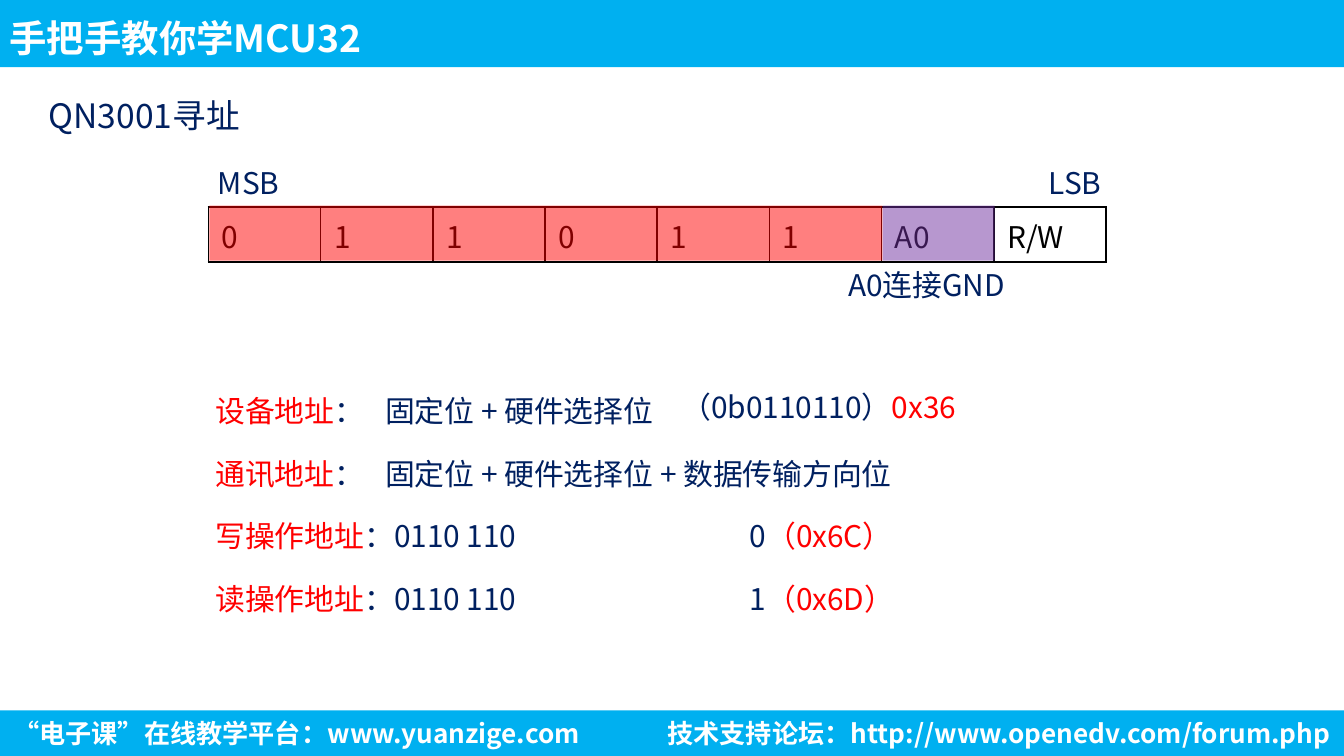
"""Builds the slide that explains the sensor's bus address."""
import pptx
import pptx.dml.color
import pptx.enum.shapes
import pptx.enum.text
import pptx.oxml
import pptx.oxml.ns
import pptx.util
import lxml.etree

Cm = pptx.util.Cm
RGB = pptx.dml.color.RGBColor
qn = pptx.oxml.ns.qn
Align = pptx.enum.text.PP_ALIGN

SKY = RGB(0x00, 0xB0, 0xF0)
NAVY = RGB(0x00, 0x20, 0x60)
RED = RGB(0xFF, 0x00, 0x00)
PLUM = RGB(0x70, 0x30, 0xA0)
WHITE = RGB(0xFF, 0xFF, 0xFF)
BLACK = RGB(0x00, 0x00, 0x00)
TIGHT = (0.13, 0.05)
SIDES = ("left", "top", "right", "bottom")


class Deck:
    def __init__(self, wide, high):
        self.file = pptx.Presentation()
        self.file.slide_width, self.file.slide_height = Cm(wide), Cm(high)
        self.slide = self.file.slides.add_slide(self.file.slide_layouts[6])
        self.style = {"name": "Noto Sans CJK SC", "size": pptx.util.Pt(16), "bold": False}

    def words(self, para, text, color, **extra):
        run = para.add_run()
        run.text = text
        for key, value in {**self.style, **extra}.items():
            setattr(run.font, key, value)
        run.font.color.rgb = color
        face = lxml.etree.SubElement(run.font._element, qn("a:ea"))
        face.set("typeface", self.style["name"])

    def block(self, left, top, wide, high, color, alpha=None):
        kind = pptx.enum.shapes.MSO_SHAPE.RECTANGLE
        shape = self.slide.shapes.add_shape(kind, Cm(left), Cm(top), Cm(wide), Cm(high))
        shape.shadow.inherit = False
        shape.fill.solid()
        shape.fill.fore_color.rgb = color
        shape.line.fill.background()
        if alpha:
            paint = shape.fill._xPr.find(".//" + qn("a:srgbClr"))
            lxml.etree.SubElement(paint, qn("a:alpha")).set("val", str(alpha * 1000))

    def text(self, left, top, wide, high, runs, pad=TIGHT, frame=None, para=None, tabs=(), **font):
        box = self.slide.shapes.add_textbox(Cm(left), Cm(top), Cm(wide), Cm(high)).text_frame
        form = {"word_wrap": True, "auto_size": pptx.enum.text.MSO_AUTO_SIZE.SHAPE_TO_FIT_TEXT}
        form.update({f"margin_{side}": Cm(pad[i % 2]) for i, side in enumerate(SIDES)})
        for key, value in {**form, **(frame or {})}.items():
            setattr(box, key, value)
        line = box.paragraphs[0]
        for key, value in (para or {}).items():
            setattr(line, key, value)
        if tabs:
            stops = lxml.etree.SubElement(line._p.get_or_add_pPr(), qn("a:tabLst"))
            for stop in tabs:
                tab = lxml.etree.SubElement(stops, qn("a:tab"))
                tab.set("pos", str(Cm(stop)))
                tab.set("algn", "l")
        for part, color in runs:
            self.words(line, part, color, **font)

    def table(self, left, top, wide, high, labels):
        size = (Cm(left), Cm(top), Cm(wide), Cm(high))
        grid = self.slide.shapes.add_table(1, len(labels), *size).table
        for col, label in enumerate(labels):
            grid.columns[col].width = Cm(wide / len(labels))
            cell = grid.cell(0, col)
            cell.vertical_anchor = pptx.enum.text.MSO_ANCHOR.MIDDLE
            cell.fill.solid()
            cell.fill.fore_color.rgb = WHITE
            self.words(cell.text_frame.paragraphs[0], label, BLACK)
            self.edge(cell)

    def edge(self, cell):
        props = cell._tc.get_or_add_tcPr()
        for place, side in enumerate("LRTB"):
            line = lxml.etree.Element(qn(f"a:ln{side}"), w=str(pptx.util.Pt(1)))
            fill = lxml.etree.SubElement(line, qn("a:solidFill"))
            lxml.etree.SubElement(fill, qn("a:srgbClr")).set("val", str(BLACK))
            props.insert(place, line)


def main():
    deck = Deck(25.4, 14.29)
    big = {"size": pptx.util.Pt(14), "bold": True}
    loose = {"line_spacing": 1.5}

    deck.block(0, 13.43, 25.4, 0.86, SKY)
    deck.block(0, 0, 25.4, 1.27, SKY)
    fixed = {"vertical_anchor": pptx.enum.text.MSO_ANCHOR.MIDDLE,
             "auto_size": pptx.enum.text.MSO_AUTO_SIZE.NONE}
    deck.text(0, 0, 16.38, 1.27, [("手把手教你学MCU32", WHITE)], (0.18, 0.1), fixed,
              {"line_spacing": 1.2}, size=pptx.util.Pt(20), bold=True)
    feet = [
        (0, 14.94, Align.LEFT, "“电子课”在线教学平台：www.yuanzige.com"),
        (9.47, 15.93, Align.RIGHT, "技术支持论坛：http://www.openedv.com/forum.php"),
    ]
    for left, wide, side, label in feet:
        deck.text(left, 13.43, wide, 0.86, [(label, WHITE)], (0.25, 0.13),
                  para={"alignment": side}, **big)

    deck.text(0.79, 1.37, 5.87, 1.17, [("QN3001寻址", NAVY)], para=loose, size=pptx.util.Pt(18))

    rows = [
        ("设备地址", "：\t固定位 + 硬件选择位", "", 3.21),
        ("通讯地址", "：\t固定位 + 硬件选择位 + 数据传输方向位", "", 3.21),
        ("写操作地址", "：0110 110\t0", "（0x6C）", 10.1),
        ("读操作地址", "：0110 110\t1", "（0x6D）", 10.1),
    ]
    for row, (name, rule, code, stop) in enumerate(rows):
        runs = [(name, RED), (rule, NAVY)] + ([(code, RED)] if code else [])
        deck.text(3.94, 7.04 + 1.18 * row, 13.92, 1.04, runs, para=loose, tabs=[stop])
    deck.text(12.75, 7.29, 5.74, 0.81, [("（0b0110110）", NAVY), ("0x36", RED)])

    bit = 2.12
    deck.table(3.94, 3.91, 8 * bit, 1.04, [*"011011", "A0", "R/W"])
    for left, top, wide, label in [(3.99, 3.07, 1.45, "MSB"), (19.69, 3.07, 1.45, "LSB"),
                                   (15.9, 5, 3.63, "A0连接GND")]:
        deck.text(left, top, wide, 0.81, [(label, NAVY)])
    deck.block(3.96 + 6 * bit, 3.89, bit, 1.04, PLUM, 50)
    deck.block(3.96, 3.89, 6 * bit, 1.04, RED, 50)

    deck.file.save("out.pptx")


if __name__ == "__main__":
    main()
